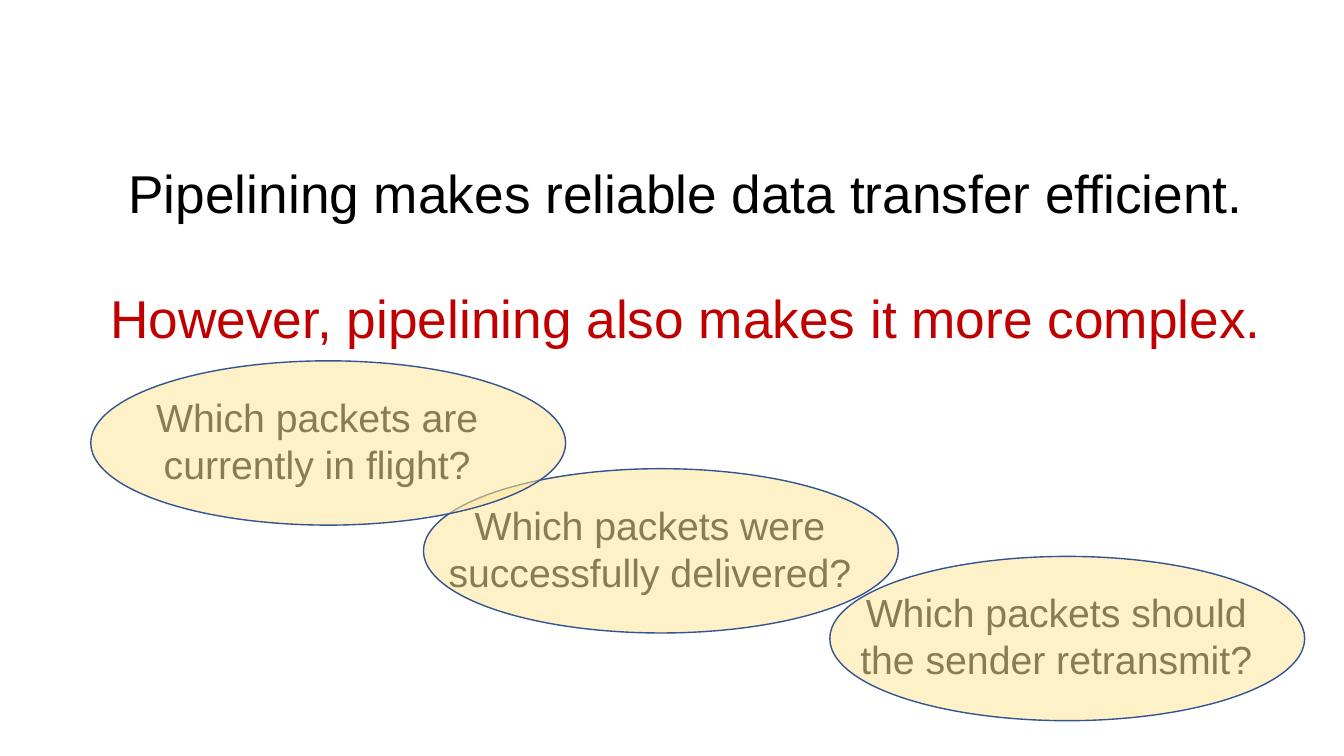
"""Build a slide on the benefit and the added complexity of pipelining."""
from lxml import etree
from pptx import Presentation
from pptx import util as u
from pptx.dml.color import RGBColor
from pptx.enum import shapes, text
from pptx.oxml.ns import qn

STATEMENTS = [
    ("Pipelining makes reliable data transfer efficient.", "black"),
    ("However, pipelining also makes it more complex.", "red"),
]
QUESTIONS = [
    ("Which packets were successfully delivered?", 4.2, 4.65),
    ("Which packets should the sender retransmit?", 8.23, 5.52),
    ("Which packets are currently in flight?", 0.9, 3.58),
]
THEME = {
    "font": "Arial",
    "statement_size": 38,
    "question_size": 28,
    "statement_gap": 43.7,
    "black": RGBColor.from_string("000000"),
    "red": RGBColor.from_string("C00000"),
    "bubble": RGBColor.from_string("FFE699"),
    "outline": RGBColor.from_string("325491"),
    "bubble_opacity": 54,
}
STATEMENT_BOX = (0.76, 1.54, 12.09, 2.02)
QUESTION_SIZE = (4.49, 1.04)
BUBBLE_SIZE = (4.71, 1.63)
QUESTION_DROP = 0.27


def add_text(slide, box, lines, size):
    """Add a wrapped text box of centred paragraphs."""
    frame = slide.shapes.add_textbox(*map(u.Inches, box)).text_frame
    frame.word_wrap = True
    for index, (line, color) in enumerate(lines):
        paragraph = frame.add_paragraph() if index else frame.paragraphs[0]
        paragraph.alignment = text.PP_ALIGN.CENTER
        if index:
            paragraph.space_before = u.Pt(THEME["statement_gap"])
        run = paragraph.add_run()
        run.text = line
        run.font.color.rgb = THEME[color]
        for name, value in {"name": THEME["font"], "size": u.Pt(size)}.items():
            setattr(run.font, name, value)


def add_bubble(slide, left, top):
    """Add a translucent outlined ellipse."""
    box = map(u.Inches, (left, top, *BUBBLE_SIZE))
    bubble = slide.shapes.add_shape(shapes.MSO_SHAPE.OVAL, *box)
    bubble.shadow.inherit = False
    bubble.fill.solid()
    bubble.fill.fore_color.rgb = THEME["bubble"]
    bubble.line.color.rgb = THEME["outline"]
    bubble.line.width = u.Pt(1)
    color = bubble.fill._xPr.find(qn("a:solidFill"))[0]
    opacity = etree.SubElement(color, qn("a:alpha"))
    opacity.set("val", str(THEME["bubble_opacity"] * 1000))


def main():
    """Compose and save the slide."""
    presentation = Presentation()
    presentation.slide_width = u.Inches(13.33)
    presentation.slide_height = u.Inches(7.5)
    slide = presentation.slides.add_slide(presentation.slide_layouts[6])
    add_text(slide, STATEMENT_BOX, STATEMENTS, THEME["statement_size"])
    for question, left, top in QUESTIONS:
        box = (left, top + QUESTION_DROP, *QUESTION_SIZE)
        add_text(slide, box, [(question, "black")], THEME["question_size"])
    for _, left, top in QUESTIONS:
        add_bubble(slide, left, top)
    presentation.save("out.pptx")


if __name__ == "__main__":
    main()
